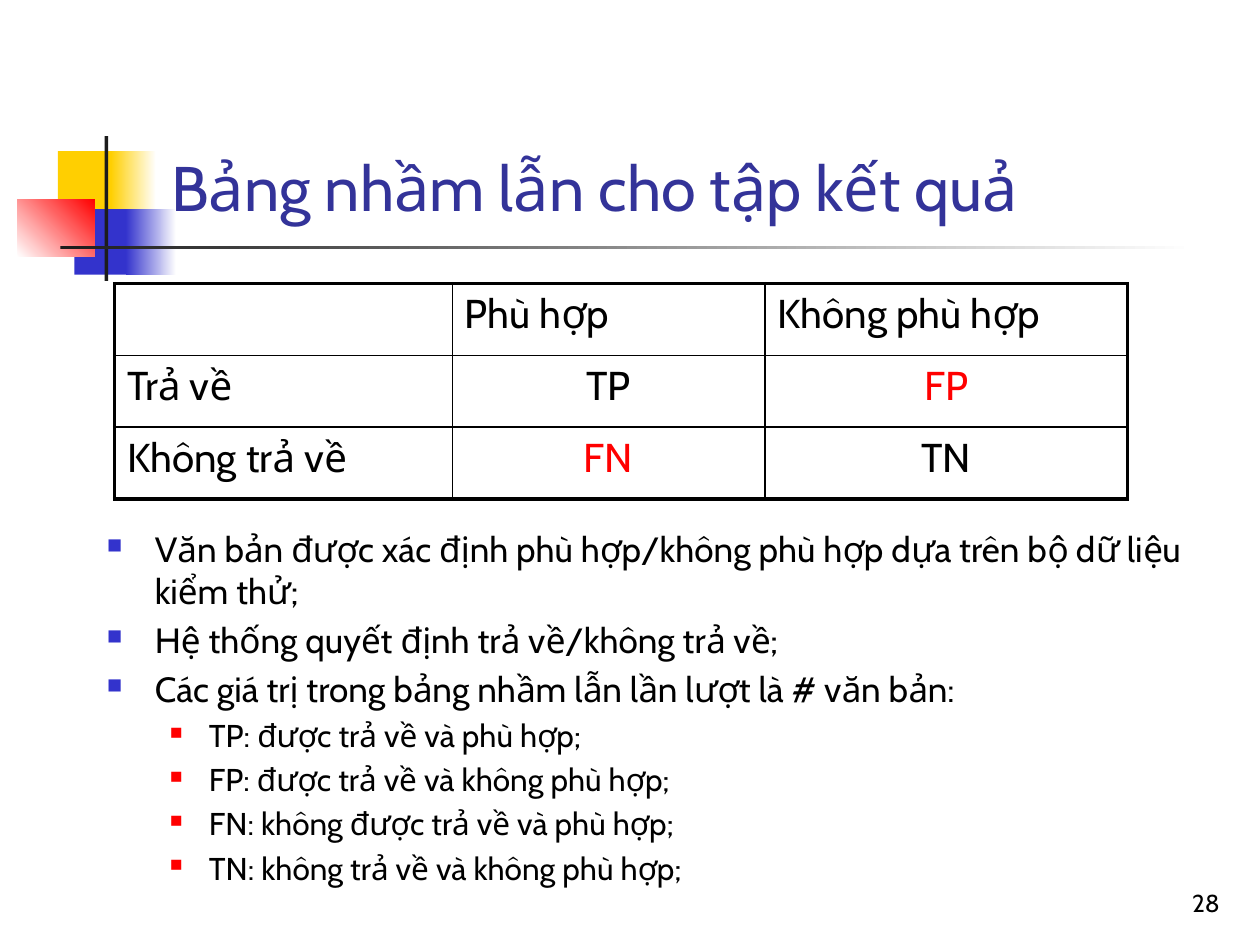
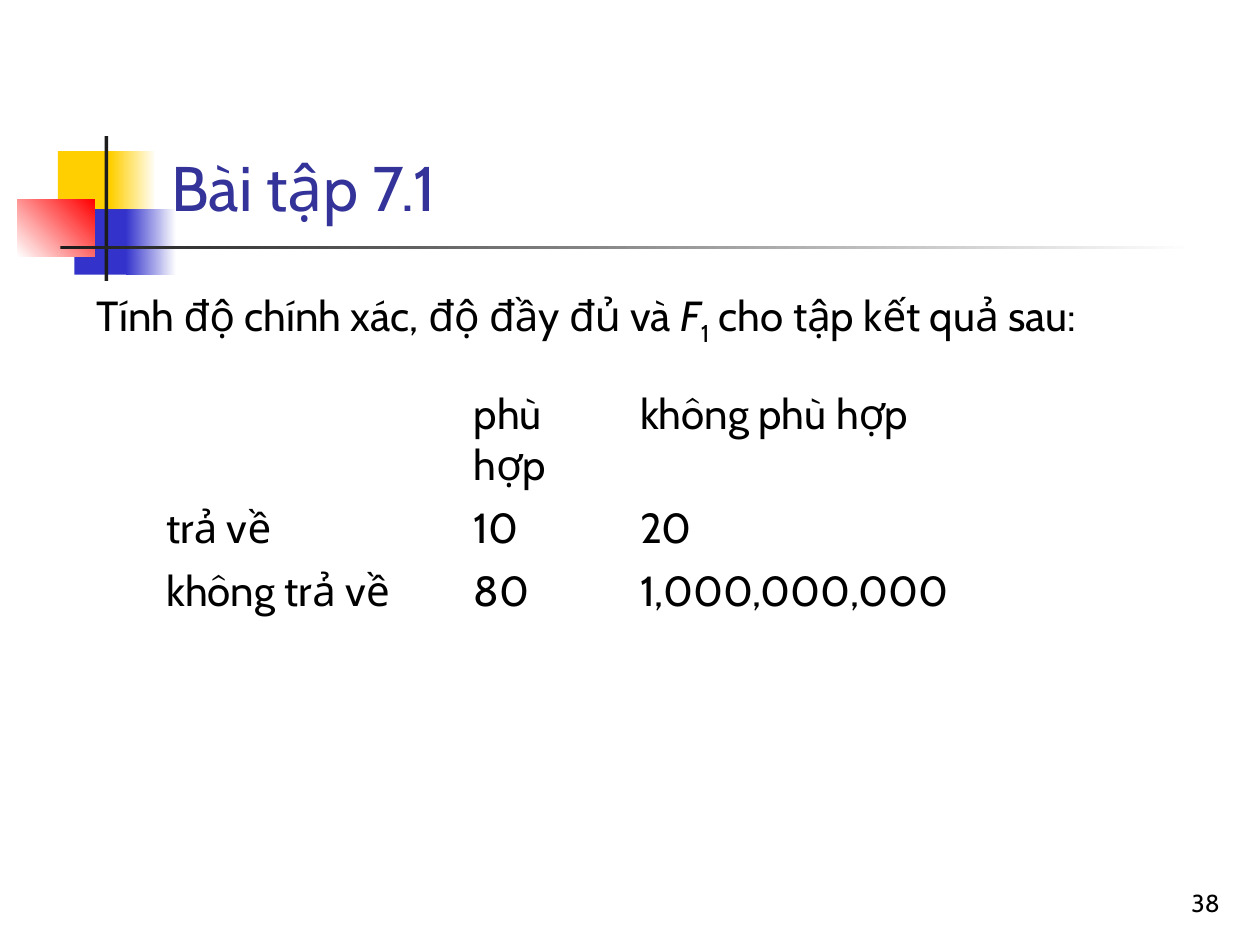
from dataclasses import dataclass
from typing import Optional

from lxml.etree import SubElement
from pptx import Presentation
from pptx.dml.color import RGBColor
from pptx.enum.shapes import MSO_SHAPE
from pptx.enum.text import MSO_ANCHOR, MSO_AUTO_SIZE, PP_ALIGN
from pptx.oxml.ns import qn
from pptx.util import Emu, Pt

EMU_PER_PX = 9144
FONT = "Cabin"
BLACK = "000000"
WHITE = "FFFFFF"
RED = "FF0000"
YELLOW = "FFCF01"
BLUE = "3333CC"
NAVY = "333399"
CHARCOAL = "1C1C1C"


@dataclass(frozen=True)
class Area:
    left: int
    top: int
    width: int
    height: int


@dataclass(frozen=True)
class Band:
    area: Area
    start: str
    end: Optional[str] = None
    angle: int = 0


@dataclass(frozen=True)
class Span:
    text: str
    color: str = BLACK
    italic: bool = False
    baseline: int = 0


@dataclass(frozen=True)
class Bullet:
    color: str
    percent: int
    margin: int
    hang: int


@dataclass(frozen=True)
class Para:
    spans: tuple[Span, ...]
    size: int
    align: PP_ALIGN = PP_ALIGN.LEFT
    spacing: float = 0
    bullet: Optional[Bullet] = None


@dataclass(frozen=True)
class Grid:
    left: int
    top: int
    columns: tuple[int, ...]
    rows: tuple[int, ...]
    line_color: str
    outer: float
    inner: float


TITLE_AREA = Area(126, 23, 852, 160)
NUMBER_AREA = Area(770, 683, 208, 50)
BANDS = (
    Band(Area(46, 120, 48, 52), YELLOW),
    Band(Area(88, 120, 36, 52), YELLOW, WHITE),
    Band(Area(59, 166, 46, 52), BLUE),
    Band(Area(100, 166, 40, 52), BLUE, WHITE),
    Band(Area(14, 158, 61, 46), WHITE, RED, 45),
    Band(Area(83, 108, 3, 115), CHARCOAL),
    Band(Area(48, 195, 900, 3), CHARCOAL, WHITE),
)
MAIN_BULLET = Bullet(BLUE, 60, 38, 38)
SUB_BULLET = Bullet(RED, 55, 81, 31)
SPACING_SHARE = 0.2


def px(length: int) -> Emu:
    return Emu(length * EMU_PER_PX)


def rgb(color: str) -> RGBColor:
    return RGBColor.from_string(color)


def place(shape, area: Area) -> None:
    shape.left, shape.top = px(area.left), px(area.top)
    shape.width, shape.height = px(area.width), px(area.height)


def add_band(page, band: Band) -> None:
    area = band.area
    box = page.shapes.add_shape(
        MSO_SHAPE.RECTANGLE, px(area.left), px(area.top), px(area.width), px(area.height)
    )
    box.shadow.inherit = False
    box.line.fill.background()
    if band.end is None:
        box.fill.solid()
        box.fill.fore_color.rgb = rgb(band.start)
        return
    box.fill.gradient()
    box.fill.gradient_angle = band.angle
    for stop, position, color in zip(box.fill.gradient_stops, (0, 1), (band.start, band.end)):
        stop.position = position
        stop.color.rgb = rgb(color)


def add_bullet(para, bullet: Bullet) -> None:
    properties = para._p.get_or_add_pPr()
    properties.set("marL", str(px(bullet.margin)))
    properties.set("indent", str(-px(bullet.hang)))
    color = SubElement(properties, qn("a:buClr"))
    SubElement(color, qn("a:srgbClr"), val=bullet.color)
    SubElement(properties, qn("a:buSzPct"), val=str(bullet.percent * 1000))
    SubElement(properties, qn("a:buChar"), char="■")


def write(frame, paras: list[Para]) -> None:
    for index, content in enumerate(paras):
        para = frame.add_paragraph() if index else frame.paragraphs[0]
        para.alignment = content.align
        para.space_before = Pt(content.size * content.spacing)
        if content.bullet:
            add_bullet(para, content.bullet)
        for piece in content.spans:
            span = para.add_run()
            span.text = piece.text
            span.font.name = FONT
            span.font.size = Pt(content.size)
            span.font.color.rgb = rgb(piece.color)
            span.font.italic = piece.italic
            if piece.baseline:
                span._r.get_or_add_rPr().set("baseline", str(piece.baseline * 1000))


def add_text(page, area: Area, paras: list[Para], anchor=MSO_ANCHOR.TOP) -> None:
    box = page.shapes.add_textbox(px(area.left), px(area.top), px(area.width), px(area.height))
    box.text_frame.word_wrap = True
    box.text_frame.vertical_anchor = anchor
    write(box.text_frame, paras)


def set_border(cell, position: int, side: str, color: str, width: float) -> None:
    properties = cell._tc.get_or_add_tcPr()
    line = SubElement(properties, qn(f"a:ln{side}"), w=str(Pt(width)))
    fill = SubElement(line, qn("a:solidFill"))
    SubElement(fill, qn("a:srgbClr"), val=color)
    properties.insert(position, line)


def add_grid(page, grid: Grid, contents: list[list[Para]]) -> None:
    last_row, last_column = len(grid.rows) - 1, len(grid.columns) - 1
    table = page.shapes.add_table(
        len(grid.rows), len(grid.columns), px(grid.left), px(grid.top),
        px(sum(grid.columns)), px(sum(grid.rows)),
    ).table
    table.first_row = table.horz_banding = False
    for column, width in zip(table.columns, grid.columns):
        column.width = px(width)
    for row, height in zip(table.rows, grid.rows):
        row.height = px(height)
    for row_index, row in enumerate(contents):
        for column_index, content in enumerate(row):
            cell = table.cell(row_index, column_index)
            cell.fill.solid()
            cell.fill.fore_color.rgb = rgb(WHITE)
            edges = {
                "L": column_index == 0,
                "R": column_index == last_column,
                "T": row_index == 0,
                "B": row_index == last_row,
            }
            for position, (side, is_outer) in enumerate(edges.items()):
                width = grid.outer if is_outer else grid.inner
                set_border(cell, position, side, grid.line_color, width)
            write(cell.text_frame, [content])


def add_page(deck, heading: str, number: int):
    page = deck.slides.add_slide(deck.slide_layouts[5])
    for band in BANDS:
        add_band(page, band)
    title = page.shapes.title
    title.element.getparent().append(title.element)
    place(title, TITLE_AREA)
    title.text_frame.word_wrap = True
    title.text_frame.auto_size = MSO_AUTO_SIZE.NONE
    title.text_frame.vertical_anchor = MSO_ANCHOR.BOTTOM
    write(title.text_frame, [Para((Span(heading, NAVY),), 36)])
    number_para = Para((Span(str(number)),), 14, PP_ALIGN.RIGHT)
    add_text(page, NUMBER_AREA, [number_para], MSO_ANCHOR.BOTTOM)
    return page


def build_confusion_page(deck) -> None:
    page = add_page(deck, "Bảng nhầm lẫn cho tập kết quả", 28)
    main_points = (
        "Văn bản được xác định phù hợp/không phù hợp dựa trên bộ dữ liệu kiểm thử;",
        "Hệ thống quyết định trả về/không trả về;",
        "Các giá trị trong bảng nhầm lẫn lần lượt là # văn bản:",
    )
    definitions = (
        "TP: được trả về và phù hợp;",
        "FP: được trả về và không phù hợp;",
        "FN: không được trả về và phù hợp;",
        "TN: không trả về và không phù hợp;",
    )
    paras = [
        Para((Span(text),), size, spacing=SPACING_SHARE, bullet=bullet)
        for texts, size, bullet in ((main_points, 20, MAIN_BULLET), (definitions, 18, SUB_BULLET))
        for text in texts
    ]
    add_text(page, Area(75, 414, 889, 299), paras)
    labels = (
        ("", "Phù hợp", "Không phù hợp"),
        ("Trả về", "TP", "FP"),
        ("Không trả về", "FN", "TN"),
    )
    contents = [
        [
            Para(
                (Span(label, RED if label in ("FP", "FN") else BLACK),),
                23,
                PP_ALIGN.CENTER if row_index and column_index else PP_ALIGN.LEFT,
                SPACING_SHARE,
            )
            for column_index, label in enumerate(row)
        ]
        for row_index, row in enumerate(labels)
    ]
    add_grid(page, Grid(91, 225, (268, 248, 288), (57, 57, 57), BLACK, 2.25, 1), contents)


def build_exercise_page(deck) -> None:
    page = add_page(deck, "Bài tập 7.1", 38)
    task = (
        Span("Tính độ chính xác, độ đầy đủ và "),
        Span("F", italic=True),
        Span("1", baseline=-25),
        Span(" cho tập kết quả sau:"),
    )
    add_text(page, Area(67, 225, 912, 419), [Para(task, 24, spacing=SPACING_SHARE)])
    counts = (
        ("", "phù hợp", "không phù hợp"),
        ("trả về", "10", "20"),
        ("không trả về", "80", "1,000,000,000"),
    )
    contents = [[Para((Span(text),), 24) for text in row] for row in counts]
    add_grid(page, Grid(122, 304, (244, 132, 337), (90, 50, 50), WHITE, 1, 1), contents)


def main() -> None:
    deck = Presentation()
    deck.slide_width, deck.slide_height = px(1000), px(750)
    build_confusion_page(deck)
    build_exercise_page(deck)
    deck.save("out.pptx")


if __name__ == "__main__":
    main()
